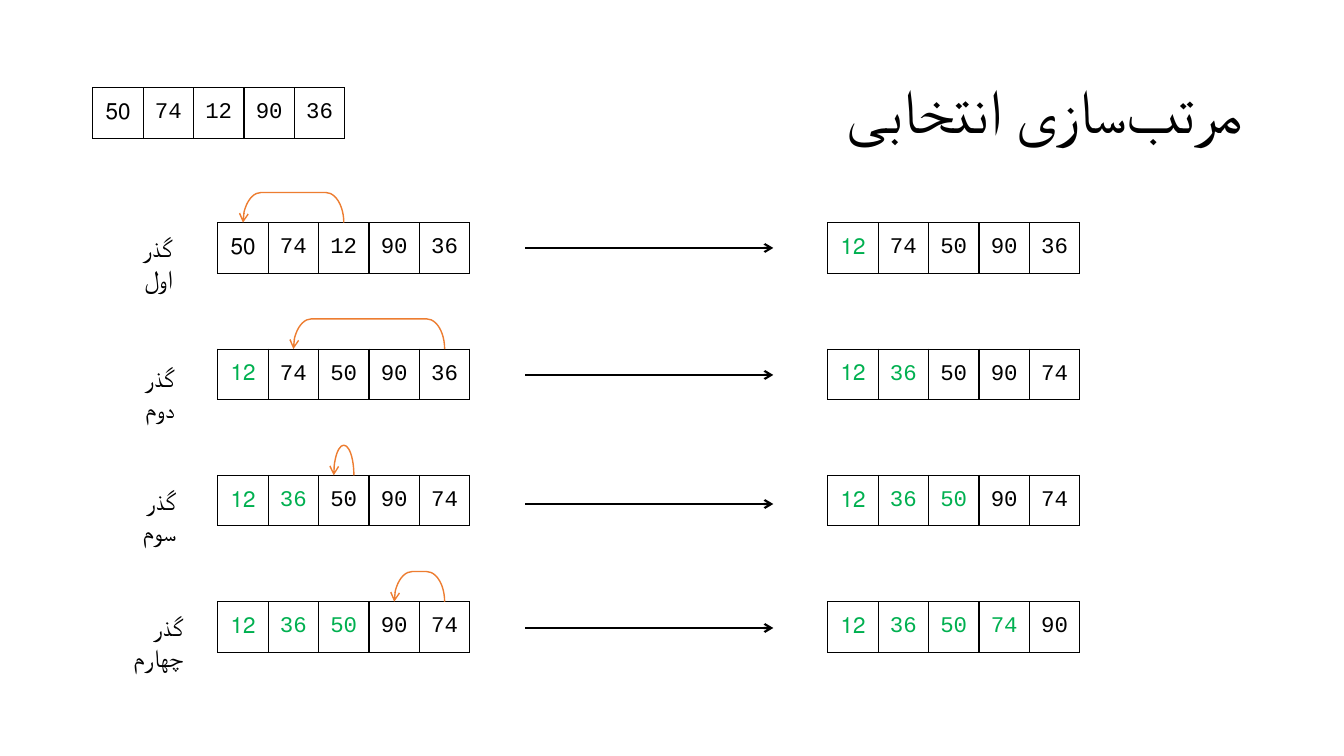
from dataclasses import dataclass

from lxml import etree
from pptx import Presentation
from pptx.dml.color import RGBColor
from pptx.enum import shapes, text
from pptx.oxml import ns
from pptx.util import Inches, Pt

COLORS = {"ink": "000000", "sorted": "00B050", "swap": "ED7D31"}
ZERO_WIDTH_NON_JOINER = chr(0x200C)
TITLE = ZERO_WIDTH_NON_JOINER.join(["مرتب", "سازی انتخابی"])
VALUES = [50, 74, 12, 90, 36]
CELL = 0.5
BEFORE_X, AFTER_X = 2.16, 8.21
FIRST_TOP, ROW_STEP = 2.21, 3.76 / 3
ARROW_X = (5.21, 7.67)
LABEL_CENTER = 1.41
HOOK_HEIGHT = 0.3
SELF_HOOK_WIDTH = 0.2


@dataclass
class SortPass:
    label: str
    label_top: float
    label_width: float
    arrow_y: float


PASSES = [
    SortPass("گذر اول", 2.26, 0.8, 2.46),
    SortPass("گذر دوم", 3.55, 0.84, 3.72),
    SortPass("گذر سوم", 4.77, 0.87, 5),
    SortPass("گذر چهارم", 6.02, 1.01, 6.23),
]


def rgb(name: str) -> RGBColor:
    return RGBColor.from_string(COLORS[name])


def style_font(p, size: float, name: str, color: str) -> None:
    p.font.size = Pt(size)
    p.font.name = name
    p.font.color.rgb = rgb(color)


def style_line(sp, color: str, width: float, arrow_end: str) -> None:
    """Colour the line and put an open arrowhead at headEnd or tailEnd."""
    sp.line.color.rgb = rgb(color)
    sp.line.width = Pt(width)
    ln = sp.line._get_or_add_ln()
    etree.SubElement(ln, ns.qn(f"a:{arrow_end}"), type="arrow")


def add_rtl_text(s, content: str, left: float, top: float, width: float,
                 height: float, size: float):
    tf = s.shapes.add_textbox(Inches(left), Inches(top),
                              Inches(width), Inches(height)).text_frame
    tf.word_wrap = True
    p = tf.paragraphs[0]
    p.text = content
    p.alignment = text.PP_ALIGN.RIGHT
    p._p.get_or_add_pPr().set("rtl", "1")
    style_font(p, size, "Lato", "ink")
    return tf


def add_cell_borders(cell) -> None:
    tc_pr = cell._tc.get_or_add_tcPr()
    for side in ("lnL", "lnR", "lnT", "lnB"):
        ln = etree.SubElement(tc_pr, ns.qn(f"a:{side}"), w=str(Pt(1)))
        fill = etree.SubElement(ln, ns.qn("a:solidFill"))
        etree.SubElement(fill, ns.qn("a:srgbClr"), val=COLORS["ink"])


def add_array(s, values: list[int], left: float, top: float,
              sorted_count: int = 0) -> None:
    """Draw the array as a one-row table, its sorted prefix in green."""
    table = s.shapes.add_table(1, len(values), Inches(left), Inches(top),
                               Inches(CELL * len(values)), Inches(CELL)).table
    table.first_row = table.horz_banding = False
    for i, value in enumerate(values):
        cell = table.cell(0, i)
        add_cell_borders(cell)
        cell.fill.background()
        cell.vertical_anchor = text.MSO_ANCHOR.MIDDLE
        p = cell.text_frame.paragraphs[0]
        p.text = str(value)
        p.alignment = text.PP_ALIGN.CENTER
        if i == 0:
            p._p.get_or_add_pPr().set("rtl", "1")
        style_font(p, 16, "Courier New", "sorted" if i < sorted_count else "ink")


def add_swap_hook(s, target: int, source: int, top: float) -> None:
    """Hook from the source cell back to the target cell, standing on the array."""
    span = (source - target) * CELL or SELF_HOOK_WIDTH
    center_x = BEFORE_X + CELL * (target + source + 1) / 2
    center_y = top - HOOK_HEIGHT / 2
    sp = s.shapes.add_shape(shapes.MSO_SHAPE.LEFT_BRACKET,
                            Inches(center_x - HOOK_HEIGHT / 2),
                            Inches(center_y - span / 2),
                            Inches(HOOK_HEIGHT), Inches(span))
    sp.rotation = 90
    sp.adjustments[0] = 0.6
    sp.shadow.inherit = False
    sp.fill.background()
    style_line(sp, "swap", 1, "headEnd")


def add_step_arrow(s, y: float) -> None:
    start, end = ARROW_X
    line = s.shapes.add_connector(shapes.MSO_CONNECTOR.STRAIGHT, Inches(start),
                                  Inches(y), Inches(end), Inches(y))
    style_line(line, "ink", 1.5, "tailEnd")
    etree.SubElement(line._element.spPr, ns.qn("a:effectLst"))


def main() -> None:
    prs = Presentation()
    prs.slide_width, prs.slide_height = Inches(13.33), Inches(7.5)
    s = prs.slides.add_slide(prs.slide_layouts[6])

    title = add_rtl_text(s, TITLE, 0.92, 0.4, 11.5, 1.45, 44)
    title.vertical_anchor = text.MSO_ANCHOR.MIDDLE
    title.paragraphs[0].line_spacing = 0.9
    add_array(s, VALUES, 0.92, 0.87)

    values = list(VALUES)
    for i, step in enumerate(PASSES):
        top = FIRST_TOP + i * ROW_STEP
        smallest = values.index(min(values[i:]))
        add_rtl_text(s, step.label, LABEL_CENTER - step.label_width / 2,
                     step.label_top, step.label_width, 0.4, 18)
        add_array(s, values, BEFORE_X, top, i)
        add_swap_hook(s, i, smallest, top)
        add_step_arrow(s, step.arrow_y)
        values[i], values[smallest] = values[smallest], values[i]
        add_array(s, values, AFTER_X, top, i + 1)

    prs.save("out.pptx")


if __name__ == "__main__":
    main()
